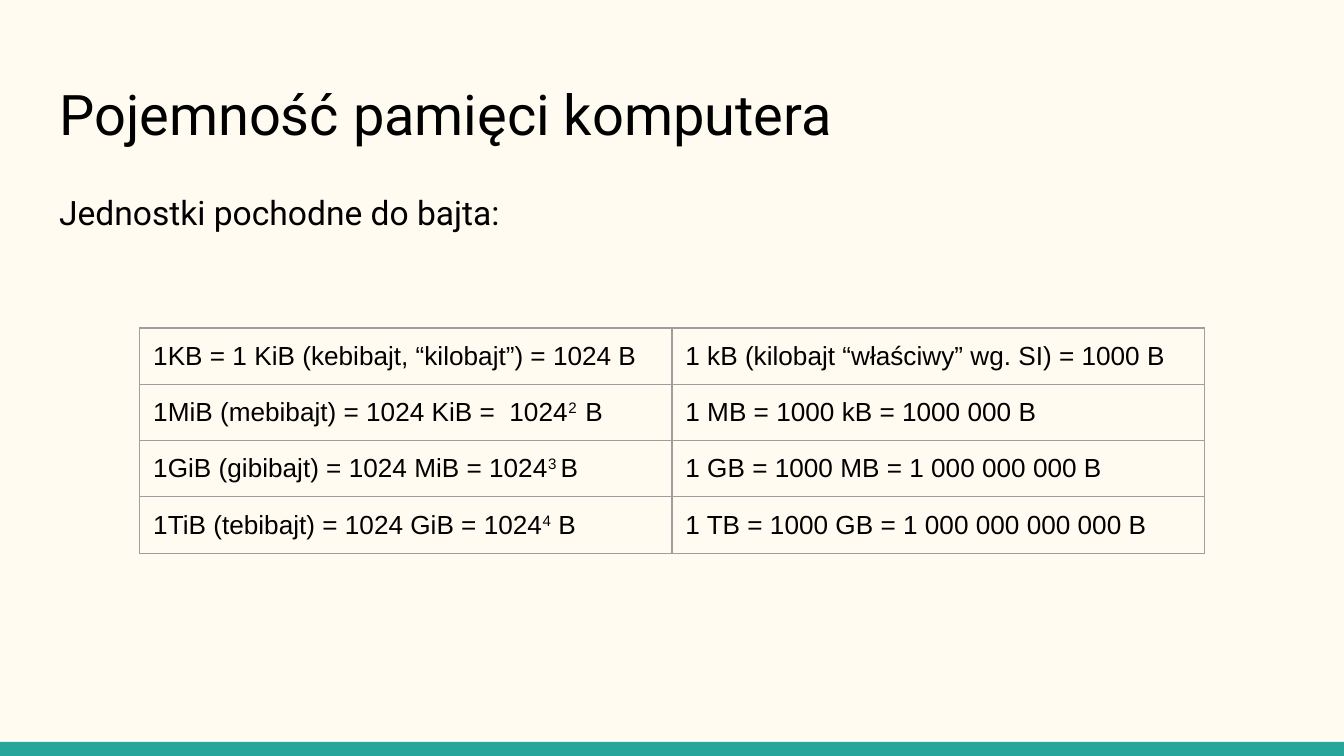
"""Build a slide on units of computer memory derived from the byte."""
import pptx
import pptx.dml.color
import pptx.enum.shapes
import pptx.enum.text
import pptx.oxml
import pptx.oxml.ns
import pptx.util
from pptx.util import Inches

COLORS = {"page": "FFFBF0", "bar": "26A69A", "text": "000000", "grid": "9E9E9E"}
ROWS = [
    (["1KB = 1 KiB (kebibajt, “kilobajt”) = 1024 B"],
     "1 kB (kilobajt “właściwy” wg. SI) = 1000 B"),
    (["1MiB (mebibajt) = 1024 KiB =  1024", "2  ", "B"],
     "1 MB = 1000 kB = 1000 000 B"),
    (["1GiB (gibibajt) = 1024 MiB = 1024", "3 ", "B"],
     "1 GB = 1000 MB = 1 000 000 000 B"),
    (["1TiB (tebibajt) = 1024 GiB = 1024", "4", " B"],
     "1 TB = 1000 GB = 1 000 000 000 000 B"),
]


def color(name):
    return pptx.dml.color.RGBColor.from_string(COLORS[name])


def style(para, face, size):
    para.font.name = face
    para.font.size = pptx.util.Pt(size)
    para.font.color.rgb = color("text")


deck = pptx.Presentation()
deck.slide_width = Inches(10)
deck.slide_height = deck.slide_width * 9 // 16
slide = deck.slides.add_slide(deck.slide_layouts[1])
slide.background.fill.solid()
slide.background.fill.fore_color.rgb = color("page")

bar = slide.shapes.add_shape(
    pptx.enum.shapes.MSO_SHAPE.RECTANGLE, 0, Inches(5.52),
    deck.slide_width, deck.slide_height - Inches(5.52))
bar.shadow.inherit = False
bar.fill.solid()
bar.fill.fore_color.rgb = color("bar")
bar.line.fill.background()

title, body = slide.placeholders
for box, text, top, high, size in [
    (title, "Pojemność pamięci komputera", 0.49, 0.67, 30),
    (body, "Jednostki pochodne do bajta:", 1.28, 3.72, 18),
]:
    box.left, box.top = Inches(0.34), Inches(top)
    box.width, box.height = Inches(9.32), Inches(high)
    frame = box.text_frame
    frame.text = text
    frame.word_wrap = True
    frame.auto_size = pptx.enum.text.MSO_AUTO_SIZE.NONE
    frame.vertical_anchor = pptx.enum.text.MSO_ANCHOR.TOP
    frame.margin_left = frame.margin_right = Inches(0.1)
    frame.margin_top = frame.margin_bottom = Inches(0.1)
    para = frame.paragraphs[0]
    para.alignment = pptx.enum.text.PP_ALIGN.LEFT
    para.space_before = pptx.util.Pt(0)
    if box is body:
        para.line_spacing = 1.15
        para.space_after = pptx.util.Pt(16)
        props = para._p.get_or_add_pPr()
        props.set("marL", "0")
        props.set("indent", "0")
        props.append(pptx.oxml.parse_xml(f'<a:buNone {pptx.oxml.ns.nsdecls("a")}/>'))
    style(para, "Roboto", size)

table = slide.shapes.add_table(
    len(ROWS), 2, Inches(1.04), Inches(2.44), Inches(7.92), Inches(1.67)).table
table.first_row = table.horz_banding = False
for row, (left, right) in zip(table.rows, ROWS):
    for cell, parts in zip(row.cells, (left, [right])):
        cell.margin_left = cell.margin_right = Inches(0.1)
        cell.margin_top = cell.margin_bottom = Inches(0.1)
        para = cell.text_frame.paragraphs[0]
        style(para, "Arial", 14)
        for spot, part in enumerate(parts):
            run = para.add_run()
            run.text = part
            if spot == 1:
                run._r.get_or_add_rPr().set("baseline", "30000")
        props = cell._tc.get_or_add_tcPr()
        for side in "LRTB":
            props.append(pptx.oxml.parse_xml(
                f'<a:ln{side} {pptx.oxml.ns.nsdecls("a")} w="9525"><a:solidFill>'
                f'<a:srgbClr val="{COLORS["grid"]}"/></a:solidFill></a:ln{side}>'))
        cell.fill.background()

deck.save("out.pptx")
